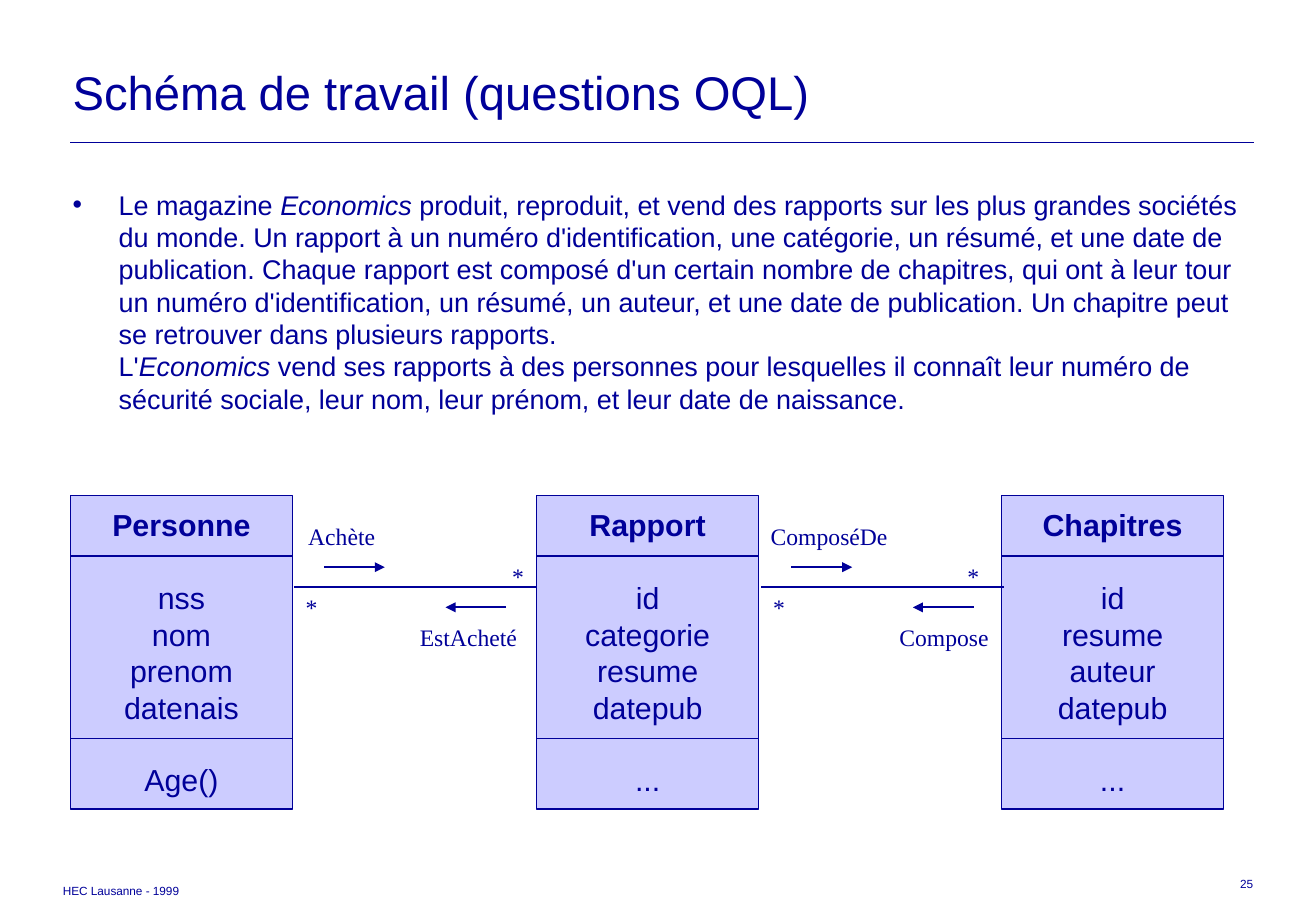
import pptx
import pptx.dml.color
import pptx.enum.shapes
import pptx.enum.text
import pptx.oxml
import pptx.oxml.ns
import pptx.util
from pptx.util import Inches

NAVY = "000099"
LAVENDER = "CCCCFF"
ALIGN = pptx.enum.text.PP_ALIGN
ANCHOR = pptx.enum.text.MSO_ANCHOR
CLASS_TOP, CLASS_WIDTH, CLASS_HEIGHT = 4.08, 1.83, 2.58
SUMMARY = [
    ("Le magazine ", False),
    ("Economics", True),
    (" produit, reproduit, et vend des rapports sur les plus grandes sociétés "
     "du monde. Un rapport à un numéro d'identification, une catégorie, un résumé, "
     "et une date de publication. Chaque rapport est composé d'un certain nombre de "
     "chapitres, qui ont à leur tour un numéro d'identification, un résumé, un auteur, "
     "et une date de publication. Un chapitre peut se retrouver dans plusieurs rapports.", False),
    ("\n", False),
    ("L'", False),
    ("Economics", True),
    (" vend ses rapports à des personnes pour lesquelles il connaît leur numéro de "
     "sécurité sociale, leur nom, leur prénom, et leur date de naissance.", False),
]


def color(hex_value):
    return pptx.dml.color.RGBColor.from_string(hex_value)


def add_element(parent, tag, **attributes):
    element = pptx.oxml.parse_xml(f'<a:{tag} {pptx.oxml.ns.nsdecls("a")}/>')
    for key, value in attributes.items():
        element.set(key, value)
    parent.append(element)
    return element


def write(paragraph, text, size=18, font="Arial", bold=False, align=ALIGN.LEFT, before=0):
    paragraph.alignment = align
    paragraph.line_spacing = pptx.util.Pt(1.2 * size)
    paragraph.space_before = pptx.util.Pt(before)
    pieces = [(text, False)] if isinstance(text, str) else text
    for words, italic in pieces:
        if words == "\n":
            paragraph.add_line_break()
            continue
        run = paragraph.add_run()
        run.text = words
        run.font.name = font
        run.font.size = pptx.util.Pt(size)
        run.font.bold = bold
        run.font.italic = italic
        run.font.color.rgb = color(NAVY)


def add_text(slide, text, left, top, width, height, anchor=ANCHOR.TOP, **text_format):
    box = slide.shapes.add_textbox(Inches(left), Inches(top), Inches(width), Inches(height))
    box.text_frame.word_wrap = True
    box.text_frame.vertical_anchor = anchor
    paragraph = box.text_frame.paragraphs[0]
    write(paragraph, text, **text_format)
    return paragraph


def add_label(slide, text, left, top, width):
    add_text(slide, text, left, top, width, 0.34, size=14, font="Times New Roman")


def add_line(slide, start, end, y, width=1, arrow=False):
    line = slide.shapes.add_connector(
        pptx.enum.shapes.MSO_CONNECTOR.STRAIGHT, Inches(start), Inches(y), Inches(end), Inches(y))
    line.line.color.rgb = color(NAVY)
    line.line.width = pptx.util.Pt(width)
    if arrow:
        add_element(line.line._get_or_add_ln(), "tailEnd", type="triangle")
    add_element(line._element.spPr, "effectLst")


def add_class(slide, left, name, attributes, method):
    box = slide.shapes.add_shape(
        pptx.enum.shapes.MSO_SHAPE.RECTANGLE, Inches(left), Inches(CLASS_TOP),
        Inches(CLASS_WIDTH), Inches(CLASS_HEIGHT))
    box.shadow.inherit = False
    box.fill.solid()
    box.fill.fore_color.rgb = color(LAVENDER)
    box.line.color.rgb = color(NAVY)
    box.line.width = pptx.util.Pt(1)
    frame = box.text_frame
    frame.word_wrap = False
    frame.vertical_anchor = ANCHOR.MIDDLE
    write(frame.paragraphs[0], name, bold=True, align=ALIGN.CENTER)
    for member in [*attributes, method]:
        gap = 21.6 if member in (attributes[0], method) else 0
        write(frame.add_paragraph(), member, align=ALIGN.CENTER, before=gap)
    for offset in (0.5, 2):
        add_line(slide, left, left + CLASS_WIDTH, CLASS_TOP + offset)


def add_association(slide, left, forward, backward, far_star):
    add_line(slide, left, left + 2, 4.83)
    add_line(slide, left + 0.25, left + 0.75, 4.67, arrow=True)
    add_line(slide, left + 1.75, left + 1.25, 5, arrow=True)
    for text, label_left, label_width, top in (
            (*forward, 4.25), (*backward, 5.08), ("*", left, 0.35, 4.83), ("*", far_star, 0.35, 4.58)):
        add_label(slide, text, label_left, top, label_width)


def add_summary(slide):
    paragraph = add_text(slide, SUMMARY, 0.5, 1.5, 9.83, 2.5, size=16)
    properties = paragraph._p.get_or_add_pPr()
    properties.set("marL", str(Inches(0.38)))
    properties.set("indent", str(Inches(-0.38)))
    bullet_color = add_element(properties, "buClr")
    add_element(bullet_color, "srgbClr", val=NAVY)
    add_element(properties, "buFont", typeface="Arial")
    add_element(properties, "buChar", char="•")


def main():
    presentation = pptx.Presentation()
    presentation.slide_width = Inches(10.84)
    presentation.slide_height = Inches(7.5)
    slide = presentation.slides.add_slide(presentation.slide_layouts[6])

    add_text(slide, "Schéma de travail (questions OQL)", 0.5, 0.42, 9.83, 0.67,
             anchor=ANCHOR.MIDDLE, size=28)
    add_line(slide, 0.58, 10.33, 1.17, width=0.25)
    add_summary(slide)

    add_class(slide, 0.58, "Personne", ["nss", "nom", "prenom", "datenais"], "Age()")
    add_class(slide, 4.42, "Rapport", ["id", "categorie", "resume", "datepub"], "...")
    add_class(slide, 8.25, "Chapitres", ["id", "resume", "auteur", "datepub"], "...")
    add_association(slide, 2.42, ("Achète", 2.44, 0.85), ("EstAcheté", 3.36, 1.1), 4.12)
    add_association(slide, 6.27, ("ComposéDe", 6.25, 1.3), ("Compose", 7.31, 1.05), 7.87)

    add_text(slide, "HEC Lausanne - 1999", 0.42, 7.23, 2.73, 0.22, size=7)
    add_text(slide, "25", 7.69, 7.17, 2.73, 0.22, size=7, align=ALIGN.RIGHT)
    presentation.save("out.pptx")


if __name__ == "__main__":
    main()
